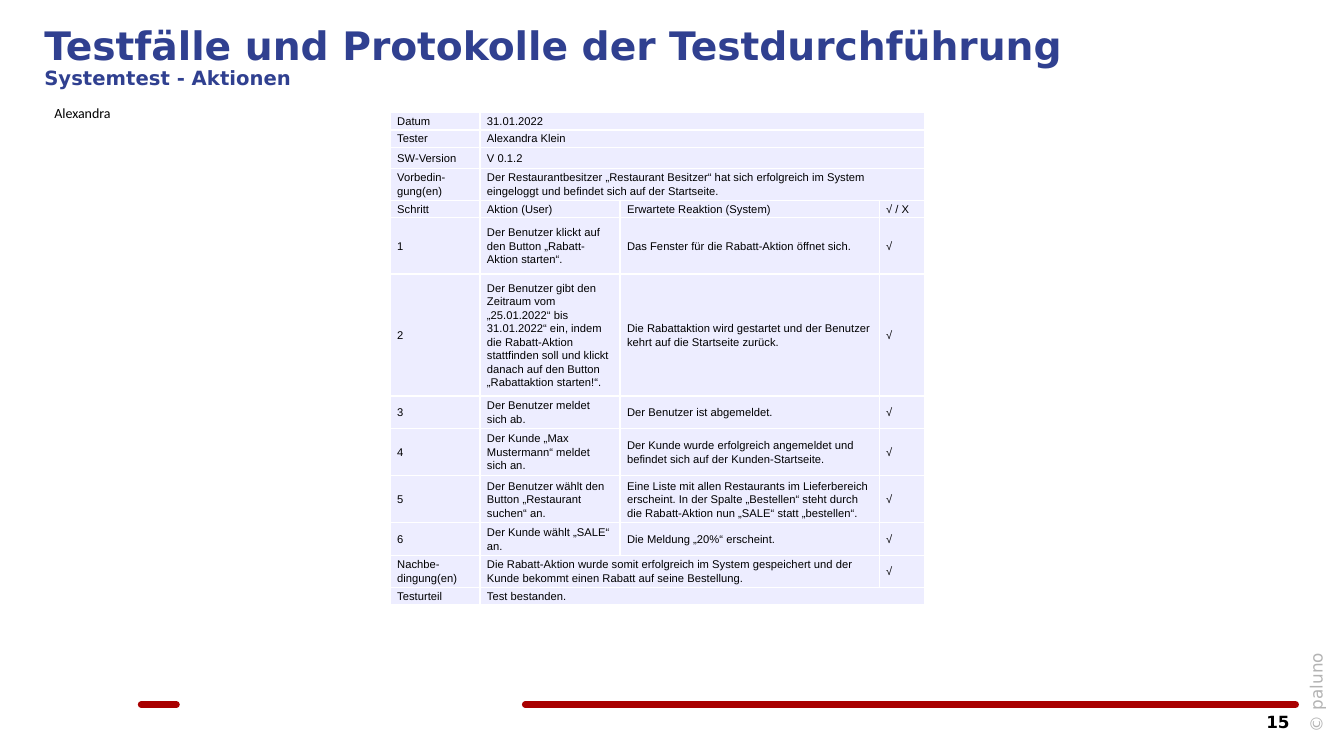
"""Build the slide with the test protocol of the system test for actions."""
from lxml import etree
from pptx import Presentation
from pptx.dml.color import RGBColor
from pptx.enum.shapes import MSO_CONNECTOR
from pptx.enum.text import MSO_ANCHOR, PP_ALIGN
from pptx.oxml.ns import qn
from pptx.util import Inches, Pt

STRAIGHT = MSO_CONNECTOR.STRAIGHT
TOP, MIDDLE = MSO_ANCHOR.TOP, MSO_ANCHOR.MIDDLE
LEFT, RIGHT = PP_ALIGN.LEFT, PP_ALIGN.RIGHT

COLORS = {
    "title": "304090",
    "text": "000000",
    "copyright": "B3B3B3",
    "bar": "A90000",
    "cell": "EDEDFF",
    "border": "FFFFFF",
}
HEADING_FONT = "DejaVu Sans"


def write(paragraph, text, font="Arial", size=8, color="text", bold=False,
          align=LEFT, spacing=1.07, after=8):
    """Add a formatted run to a paragraph."""
    paragraph.alignment = align
    paragraph.line_spacing = spacing
    paragraph.space_before = Pt(0)
    paragraph.space_after = Pt(after)
    run = paragraph.add_run()
    run.text = text
    run.font.name = font
    run.font.size = Pt(size)
    run.font.bold = bold
    run.font.color.rgb = RGBColor.from_string(COLORS[color])


def set_frame(frame, horizontal, vertical):
    """Set wrapping, top anchor and margins of a text frame."""
    frame.word_wrap = True
    frame.vertical_anchor = TOP
    frame.margin_left = frame.margin_right = Inches(horizontal)
    frame.margin_top = frame.margin_bottom = Inches(vertical)


presentation = Presentation()
presentation.slide_width = Inches(13.33)
presentation.slide_height = Inches(7.5)
slide = presentation.slides.add_slide(presentation.slide_layouts[5])
shapes = slide.shapes

for start, end in [(5.21, 12.85), (1.4, 1.75)]:
    bar = shapes.add_connector(
        STRAIGHT, Inches(start), Inches(6.99), Inches(end), Inches(6.99))
    bar.line.color.rgb = RGBColor.from_string(COLORS["bar"])
    bar.line.width = Pt(4.8)
    bar.line._get_or_add_ln().set("cap", "rnd")
    etree.SubElement(bar._element.spPr, qn("a:effectLst"))

title = shapes.title
title.left, title.top = Inches(0.44), Inches(0.26)
title.width, title.height = Inches(12.44), Inches(0.5)
set_frame(title.text_frame, 0, 0)
heading = title.text_frame.paragraphs[0]
heading_style = dict(font=HEADING_FONT, color="title", bold=True, spacing=0.9, after=0)
write(heading, "Testfälle und Protokolle der Testdurchführung", size=28, **heading_style)
heading.add_line_break()
write(heading, "Systemtest - Aktionen", size=14, **heading_style)

footer_style = dict(font=HEADING_FONT, size=12, spacing=0.9, after=0)
labels = [
    ("© paluno", (12.64, 6.65, 1.03, 0.36), (0.08, 0), 270,
     dict(color="copyright", **footer_style)),
    ("15", (11.76, 7.03, 1.13, 0.28), (0.1, 0.05), 0,
     dict(bold=True, align=RIGHT, **footer_style)),
    ("Alexandra", (0.44, 0.98, 2.56, 0.27), (0.1, 0.05), 0,
     dict(font="Calibri", size=10)),
]
for text, box, margins, rotation, style in labels:
    label = shapes.add_textbox(*map(Inches, box))
    label.rotation = rotation
    set_frame(label.text_frame, *margins)
    write(label.text_frame.paragraphs[0], text, **style)

protocol = [
    (0.17, ["Datum", "31.01.2022"]),
    (0.17, ["Tester", "Alexandra Klein"]),
    (0.21, ["SW-Version", "V 0.1.2"]),
    (0.32, ["Vorbedin-gung(en)",
            "Der Restaurantbesitzer „Restaurant Besitzer“ hat sich erfolgreich im "
            "System eingeloggt und befindet sich auf der Startseite."]),
    (0.17, ["Schritt", "Aktion (User)", "Erwartete Reaktion (System)", "√ / X"]),
    (0.56, ["1", "Der Benutzer klickt auf den Button „Rabatt-Aktion starten“.",
            "Das Fenster für die Rabatt-Aktion öffnet sich.", "√"]),
    (1.21, ["2", "Der Benutzer gibt den Zeitraum vom „25.01.2022“ bis 31.01.2022“ ein, "
            "indem die Rabatt-Aktion stattfinden soll und klickt danach auf den "
            "Button „Rabattaktion starten!“.",
            "Die Rabattaktion wird gestartet und der Benutzer kehrt auf die "
            "Startseite zurück.", "√"]),
    (0.32, ["3", "Der Benutzer meldet sich ab.", "Der Benutzer ist abgemeldet.", "√"]),
    (0.47, ["4", "Der Kunde „Max Mustermann“ meldet sich an.",
            "Der Kunde wurde erfolgreich angemeldet und befindet sich auf der "
            "Kunden-Startseite.", "√"]),
    (0.47, ["5", "Der Benutzer wählt den Button „Restaurant suchen“ an.",
            "Eine Liste mit allen Restaurants im Lieferbereich erscheint. In der "
            "Spalte „Bestellen“ steht durch die Rabatt-Aktion nun „SALE“ statt "
            "„bestellen“.", "√"]),
    (0.32, ["6", "Der Kunde wählt „SALE“ an.", "Die Meldung „20%“ erscheint.", "√"]),
    (0.32, ["Nachbe-dingung(en)",
            "Die Rabatt-Aktion wurde somit erfolgreich im System gespeichert und der "
            "Kunde bekommt einen Rabatt auf seine Bestellung.", None, "√"]),
    (0.17, ["Testurteil", "Test bestanden."]),
]
column_widths = [0.89, 1.39, 2.57, 0.45]
table = shapes.add_table(
    len(protocol), len(column_widths), Inches(3.87), Inches(1.12),
    Inches(sum(column_widths)), Inches(sum(height for height, _ in protocol))).table
table.first_row = False
table.horz_banding = False
for column, width in zip(table.columns, column_widths):
    column.width = Inches(width)

for row_index, (height, texts) in enumerate(protocol):
    table.rows[row_index].height = Inches(height)
    texts = texts + [None] * (len(column_widths) - len(texts))
    for column_index, text in enumerate(texts):
        cell = table.cell(row_index, column_index)
        cell.vertical_anchor = MIDDLE
        cell.margin_left = cell.margin_right = Inches(0.07)
        cell.margin_top = cell.margin_bottom = Inches(0.01)
        properties = cell._tc.get_or_add_tcPr()
        for side in ("lnL", "lnR", "lnT", "lnB"):
            border = etree.SubElement(properties, qn(f"a:{side}"), w=str(Pt(1)))
            fill = etree.SubElement(border, qn("a:solidFill"))
            etree.SubElement(fill, qn("a:srgbClr"), val=COLORS["border"])
        cell.fill.solid()
        cell.fill.fore_color.rgb = RGBColor.from_string(COLORS["cell"])
        if text is not None:
            write(cell.text_frame.paragraphs[0], text)
    if texts[2] is None:
        last_column = 2 if texts[3] else 3
        table.cell(row_index, 1).merge(table.cell(row_index, last_column))

presentation.save("out.pptx")
